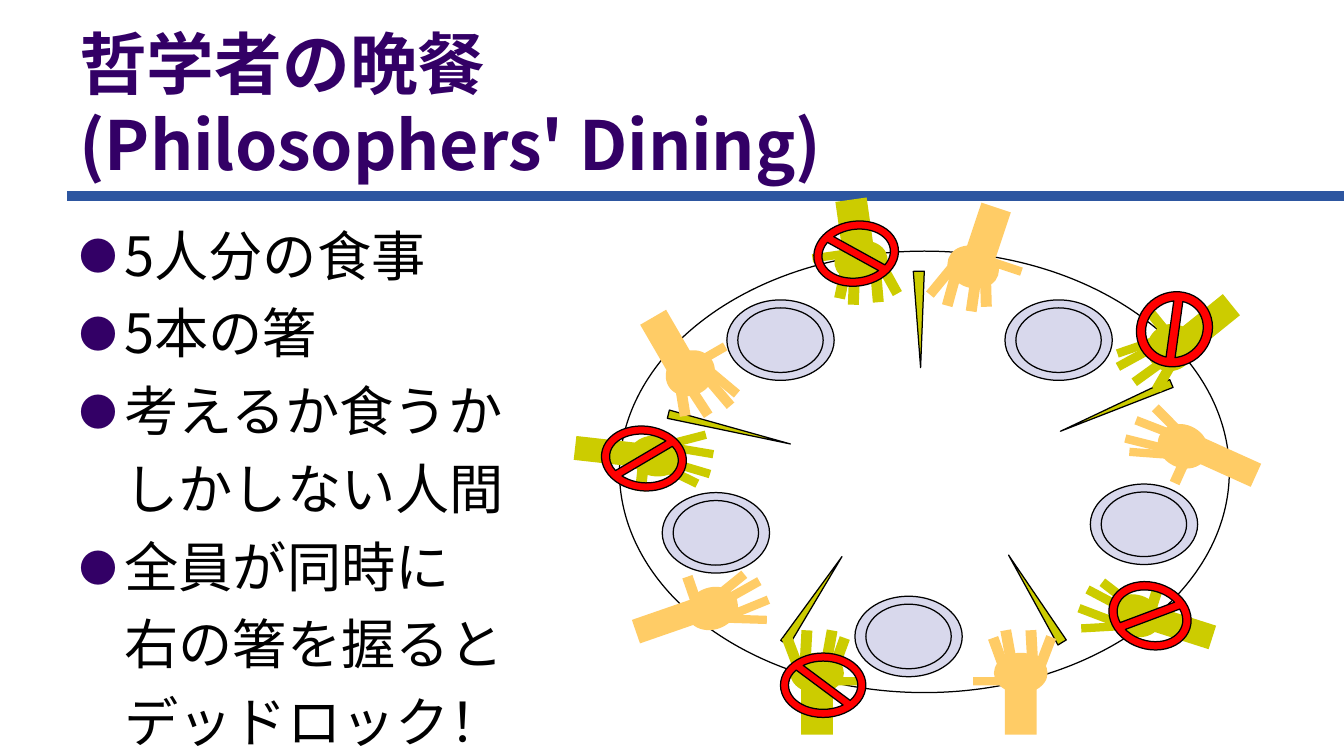
from math import cos, hypot, radians, sin

from lxml import etree
from pptx import Presentation
from pptx.dml.color import RGBColor
from pptx.enum.shapes import MSO_CONNECTOR, MSO_SHAPE
from pptx.enum.text import MSO_ANCHOR, MSO_AUTO_SIZE, PP_ALIGN
from pptx.oxml.ns import qn
from pptx.util import Inches, Pt

OVAL, RECT = MSO_SHAPE.OVAL, MSO_SHAPE.RECTANGLE
TRIANGLE, NO_SIGN = MSO_SHAPE.ISOSCELES_TRIANGLE, MSO_SHAPE.NO_SYMBOL
STRAIGHT = MSO_CONNECTOR.STRAIGHT
TOP, BOTTOM = MSO_ANCHOR.TOP, MSO_ANCHOR.BOTTOM
LEFT, NO_FIT = PP_ALIGN.LEFT, MSO_AUTO_SIZE.NONE

FONT = "Noto Sans CJK JP"
PURPLE, BLACK, WHITE = "330066", "000000", "FFFFFF"
SKIN, OLIVE, RED, PLATE = "FFCC66", "CCCC00", "FF0000", "D8D8EC"
SQUASH = 0.755


def color(value):
    return RGBColor.from_string(value)


def add_centered(shapes, kind, cx, cy, w, h, fill, rotation=0, outlined=True):
    sp = shapes.add_shape(kind, Inches(cx - w / 2), Inches(cy - h / 2), Inches(w), Inches(h))
    sp.rotation = rotation % 360
    sp.shadow.inherit = False
    sp.fill.solid()
    sp.fill.fore_color.rgb = color(fill)
    if outlined:
        sp.line.color.rgb = color(BLACK)
        sp.line.width = Pt(0.75)
    else:
        sp.line.fill.background()
    return sp


prs = Presentation()
prs.slide_width, prs.slide_height = Inches(11.02), Inches(6.2)
s = prs.slides.add_slide(prs.slide_layouts[1])

rule = s.shapes.add_connector(STRAIGHT, Inches(0.55), Inches(1.61), Inches(11.02), Inches(1.61))
rule.line.color.rgb = color("2D56A0")
rule.line.width = Pt(5.67)
etree.SubElement(rule._element.spPr, qn("a:effectLst"))

title_lines = ["哲学者の晩餐\v(Philosophers' Dining)"]
body_lines = ["●5人分の食事", "●5本の箸", "●考えるか食うか", "しかしない人間",
              "●全員が同時に", "右の箸を握ると", "デッドロック！"]
texts = [
    (s.shapes.title, title_lines, (0.55, 0.08, 9.92, 1.44), 48,
     {"vertical_anchor": BOTTOM, "margin_top": Inches(0.05), "margin_bottom": Inches(0.01)},
     {"size": Pt(40), "bold": True}, PURPLE),
    (s.placeholders[1], body_lines, (0.55, 1.73, 9.92, 4.46), 38.4,
     {"vertical_anchor": TOP, "margin_top": Inches(0.09), "margin_bottom": Inches(0.05)},
     {"size": Pt(32), "bold": False}, BLACK),
]
for sp, lines, box, leading, frame_format, font_format, text_color in texts:
    sp.left, sp.top, sp.width, sp.height = map(Inches, box)
    tf = sp.text_frame
    frame_format.update(auto_size=NO_FIT, word_wrap=True,
                        margin_left=Inches(0.1), margin_right=Inches(0.1))
    for name, value in frame_format.items():
        setattr(tf, name, value)
    for i, line in enumerate(lines):
        p = tf.paragraphs[0] if i == 0 else tf.add_paragraph()
        p.text = line.lstrip("●")
        p.alignment = LEFT
        p.line_spacing = Pt(leading)
        p.space_before = Pt(7.5 if i else 0)
        pPr = p._p.get_or_add_pPr()
        if lines is body_lines:
            pPr.set("marL", str(Inches(0.37)))
            pPr.set("indent", str(Inches(-0.37) if line.startswith("●") else 0))
        if line.startswith("●"):
            bullet_color = etree.SubElement(pPr, qn("a:buClr"))
            etree.SubElement(bullet_color, qn("a:srgbClr"), val=PURPLE)
            etree.SubElement(pPr, qn("a:buSzPct"), val="70000")
            etree.SubElement(pPr, qn("a:buFont"), typeface=FONT)
            etree.SubElement(pPr, qn("a:buChar"), char="●")
        else:
            etree.SubElement(pPr, qn("a:buNone"))
        for r in p.runs:
            r.font.name = FONT
            r.font.color.rgb = color(text_color)
            for name, value in font_format.items():
                setattr(r.font, name, value)
            etree.SubElement(r._r.get_or_add_rPr(), qn("a:ea"), typeface=FONT)

add_centered(s.shapes, OVAL, 7.58, 3.87, 5, 3.62, WHITE)

for cx, cy in [(7.45, 5.22), (9.38, 4.3), (8.68, 2.79), (6.4, 2.79), (5.87, 4.37)]:
    plate = s.shapes.add_group_shape()
    for w, h in [(0.88, 0.66), (0.7, 0.53)]:
        add_centered(plate.shapes, OVAL, cx, cy, w, h, PLATE)

chopsticks = [
    (8.49, 4.91, 0.08, 0.84, 328.6),
    (6.67, 4.92, 0.08, 0.85, 33.6),
    (5.98, 3.52, 0.07, 1.03, 103.8),
    (7.54, 2.62, 0.09, 0.79, 179.1),
    (9.15, 3.34, 0.07, 0.99, 246.8),
]
for cx, cy, w, h, angle in chopsticks:
    sp = add_centered(s.shapes, TRIANGLE, cx, cy, w, h, OLIVE, angle)
    sp.adjustments[0] = 0.48

hand_parts = [
    (OVAL, 0, 0, 0.44, 0.44, 0),
    (RECT, 0, 0.32, 0.26, 0.7, 0),
    (RECT, -0.26, 0.09, 0.26, 0.09, 0),
    (RECT, -0.18, -0.21, 0.35, 0.09, 70),
    (RECT, -0.1, -0.29, 0.35, 0.09, 79.8),
    (RECT, 0.09, -0.29, 0.35, 0.09, 86.9),
    (RECT, 0.2, -0.22, 0.35, 0.09, 110.9),
]
hands = [
    (8.37, 5.52, 0, None),
    (9.7, 3.66, 294.3, None),
    (7.98, 2.19, 198.5, None),
    (5.66, 3.06, 149.9, None),
    (5.84, 4.99, 70.9, None),
    (6.7, 5.52, 0, (6.75, 5.62)),
    (9.31, 5.05, 287.7, (9.43, 5.05)),
    (9.6, 2.85, 231.1, (9.63, 2.7)),
    (7.06, 2.14, 171.9, (7.02, 2.08)),
    (5.38, 3.74, 96.4, (5.28, 3.76)),
]
for palm_x, palm_y, angle, sign in hands:
    hand = s.shapes.add_group_shape()
    side = -1 if sign else 1
    turn = radians(angle)
    pieces = []
    for kind, dx, dy, w, h, tilt in hand_parts:
        cx = palm_x + side * dx * cos(turn) - dy * sin(turn)
        cy = palm_y + SQUASH * (side * dx * sin(turn) + dy * cos(turn))
        pieces.append((kind, cx, cy, w, h, angle + side * tilt, OLIVE if sign else SKIN))
    if sign:
        pieces.append((NO_SIGN, *sign, 0.7, 0.7, angle, RED))
    for kind, cx, cy, w, h, rotation, fill in pieces:
        a = radians(rotation)
        w *= hypot(cos(a), SQUASH * sin(a))
        h *= hypot(sin(a), SQUASH * cos(a))
        sp = add_centered(hand.shapes, kind, cx, cy, w, h, fill, rotation, kind == NO_SIGN)
        if kind == NO_SIGN:
            sp.adjustments[0] = 0.125

prs.save("out.pptx")
